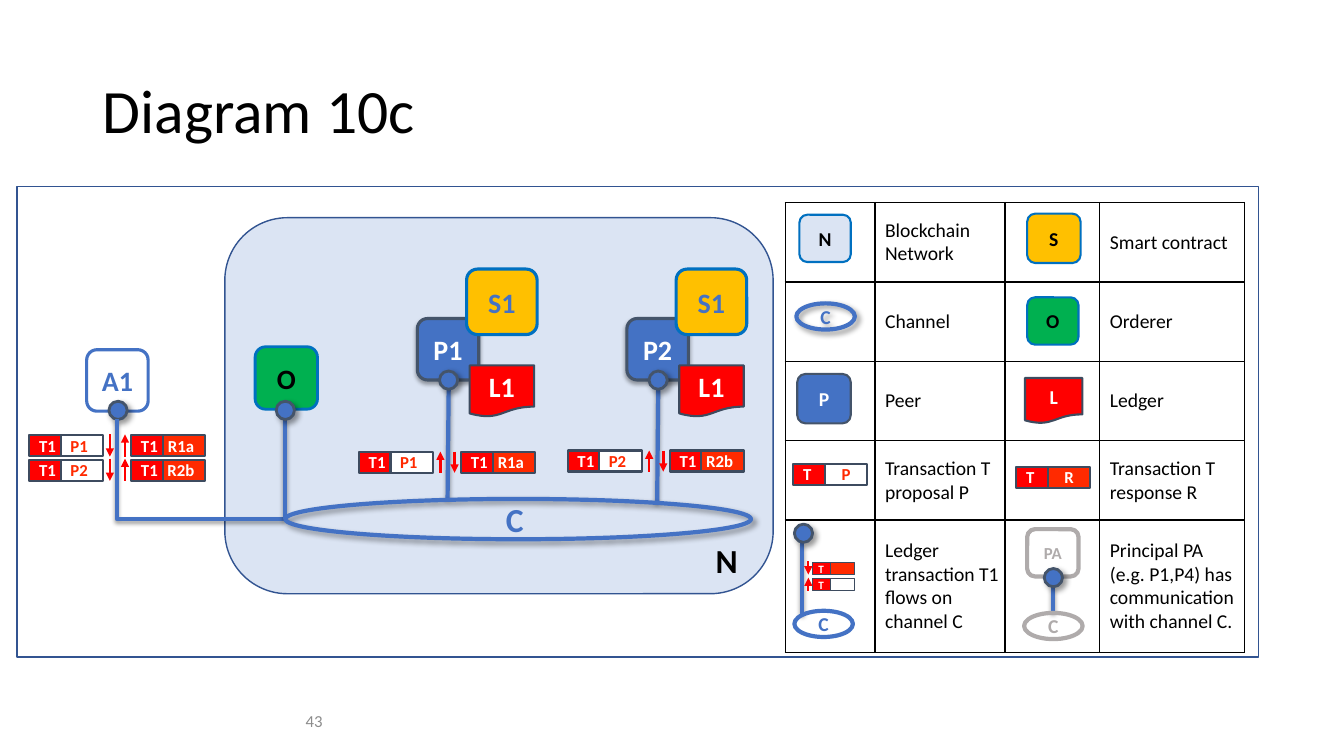
from lxml import etree
from pptx import Presentation
from pptx.dml.color import RGBColor
from pptx.enum.shapes import MSO_CONNECTOR as LINK, MSO_SHAPE as KIND
from pptx.enum.text import MSO_ANCHOR, PP_ALIGN
from pptx.oxml.ns import qn
from pptx.util import Pt

FONT = "Calibri"
HUE = {
    "black": "000000", "white": "FFFFFF", "gray": "8C8C8C", "pale": "DBE4F3",
    "navy": "325491", "blue": "4472C4", "slate": "44546A", "edge": "3D4B5F",
    "sky": "0070C0", "green": "00B050", "gold": "FFC000", "red": "FF0000",
    "flame": "FF2A00", "ash": "AFABAB",
}
HALO = (40, 4, 3, 45)
DROP = (38, 3.1, 1.6, 90)
SOFT = (35, 3.1, 1.8, 90)
LEGEND = [
    ("Blockchain Network", "Smart contract"),
    ("Channel", "Orderer"),
    ("Peer", "Ledger"),
    ("Transaction T proposal P", "Transaction T response R"),
    ("Ledger transaction T1 flows on channel C",
     "Principal PA (e.g. P1,P4) has communication with channel C."),
]


def rgb(name):
    """Look up a named colour."""
    return RGBColor.from_string(HUE[name])


def points(*values):
    """Turn numbers into point lengths."""
    return [Pt(v) for v in values]


def style(par, size, color, bold=False, align=PP_ALIGN.LEFT):
    """Format one paragraph."""
    par.alignment = align
    font = par.font
    font.name, font.size, font.bold = FONT, Pt(size), bold
    font.color.rgb = rgb(color)


def shade(item, cast=None):
    """Give an element a soft shadow, or none at all."""
    effect = etree.SubElement(item._element.spPr, qn("a:effectLst"))
    if cast:
        alpha, blur, gap, angle = cast
        outer = etree.SubElement(
            effect, qn("a:outerShdw"), blurRad=str(Pt(blur)), dist=str(Pt(gap)),
            dir=str(angle * 60000), algn="ctr", rotWithShape="0")
        tint = etree.SubElement(outer, qn("a:srgbClr"), val=HUE["black"])
        etree.SubElement(tint, qn("a:alpha"), val=str(alpha * 1000))


def block(slide, kind, box, fill, line, width, text="", size=14, color="black",
          cast=None, align=PP_ALIGN.CENTER, left=7.2):
    """Draw a shape with an optional bold label."""
    item = slide.shapes.add_shape(kind, *points(*box))
    if fill:
        item.fill.solid()
        item.fill.fore_color.rgb = rgb(fill)
    else:
        item.fill.background()
    item.line.color.rgb = rgb(line)
    item.line.width = Pt(width)
    shade(item, cast)
    if text:
        frame = item.text_frame
        frame.word_wrap = True
        frame.vertical_anchor = MSO_ANCHOR.MIDDLE
        frame.margin_left = Pt(left)
        frame.text = text
        style(frame.paragraphs[0], size, color, True, align)


def label(slide, box, text, size, color, bold=True, align=PP_ALIGN.LEFT, wrap=True):
    """Place free text."""
    frame = slide.shapes.add_textbox(*points(*box)).text_frame
    frame.word_wrap = wrap
    frame.vertical_anchor = MSO_ANCHOR.MIDDLE
    frame.text = text
    style(frame.paragraphs[0], size, color, bold, align)


def link(slide, ends, color="blue", width=3, cast=DROP, kind=LINK.STRAIGHT):
    """Draw a connector."""
    item = slide.shapes.add_connector(kind, *points(*ends))
    item.line.color.rgb = rgb(color)
    item.line.width = Pt(width)
    shade(item, cast)
    return item


def arrow(slide, x, tail, tip, width=1.75):
    """Draw a vertical red arrow."""
    item = link(slide, (x, tail, x, tip), "red", width, None)
    etree.SubElement(item._element.spPr.find(qn("a:ln")), qn("a:tailEnd"), type="triangle")


def elbow(slide, ends):
    """Draw a connector with one square bend."""
    item = link(slide, ends, kind=LINK.ELBOW)
    item._element.spPr.find(qn("a:prstGeom")).set("prst", "bentConnector2")


def dot(slide, x, y):
    """Draw a connection point."""
    block(slide, KIND.OVAL, (x, y, 13, 13), "blue", "slate", 2, cast=HALO)


def pair(slide, x, y, tag, word, left=2.9):
    """Draw a transaction tag beside its proposal or response."""
    fill, color = ("white", "flame") if word[0] == "P" else ("flame", "white")
    block(slide, KIND.RECTANGLE, (x, y, 29, 15), "red", "edge", 1.5, tag, 12,
          "white", align=PP_ALIGN.LEFT)
    block(slide, KIND.RECTANGLE, (x + 22.6, y, 30.3, 15), fill, "edge", 1.5,
          word, 12, color, left=left)


def border(cell):
    """Rule all four sides of a cell."""
    props = cell._tc.get_or_add_tcPr()
    for spot, side in enumerate(("lnL", "lnR", "lnT", "lnB")):
        rule = etree.Element(qn("a:" + side), w=str(Pt(1)))
        fill = etree.SubElement(rule, qn("a:solidFill"))
        etree.SubElement(fill, qn("a:srgbClr"), val=HUE["black"])
        props.insert(spot, rule)


def grid(slide):
    """Build the legend table."""
    table = slide.shapes.add_table(5, 4, *points(560.9, 144.7, 328, 321.4)).table
    table.first_row = table.horz_banding = False
    for col, width in zip(table.columns, (64.1, 92.9, 67.7, 103.3)):
        col.width = Pt(width)
    for row, height in zip(table.rows, [56.7] * 4 + [94.6]):
        row.height = Pt(height)
    for cell in table.iter_cells():
        cell.fill.background()
        cell.vertical_anchor = MSO_ANCHOR.MIDDLE
        cell.margin_right = Pt(4)
        border(cell)
    for r, words in enumerate(LEGEND):
        for c, text in zip((1, 3), words):
            cell = table.cell(r, c)
            cell.text = text
            style(cell.text_frame.paragraphs[0], 14, "black")


def icons(slide):
    """Fill the legend with its symbols."""
    tile, oval, bar = KIND.ROUNDED_RECTANGLE, KIND.OVAL, KIND.RECTANGLE
    block(slide, tile, (571, 153.4, 36.7, 33.8), "pale", "sky", 1.5, "N")
    block(slide, tile, (733.7, 152.6, 38.2, 35.3), "gold", "sky", 1.5, "S")
    block(slide, oval, (568.8, 216.7, 41.8, 18.7), None, "blue", 3, "C", 14, "blue", HALO)
    block(slide, tile, (733.7, 212.4, 36.7, 33.8), "green", "sky", 1.5, "O")
    block(slide, tile, (569.5, 267.1, 38.2, 35.3), "blue", "slate", 1.5, "P", 14, "white")
    block(slide, KIND.FLOWCHART_DOCUMENT, (732.2, 270, 41, 32.4), "red", "edge", 1.5,
          "L", 14, "white")
    pair(slide, 566.6, 331.2, "T", "P", 7.2)
    pair(slide, 725.8, 333.4, "T", "R", 7.2)
    link(slide, (573.1, 387.4, 573.1, 439.2))
    dot(slide, 567.4, 374.4)
    block(slide, oval, (567.4, 436.3, 41.8, 18.7), None, "blue", 3, "C", 14, "blue")
    for y, fill in ((401.8, "flame"), (413.3, "white")):
        block(slide, bar, (580.3, y, 13, 8.6), "red", "edge", 1, "T", 8, "white",
              align=PP_ALIGN.LEFT, left=4.3)
        block(slide, bar, (593.3, y, 17.3, 8.6), fill, "edge", 1)
    arrow(slide, 577.4, 421.9, 412.6, 1.25)
    arrow(slide, 577.4, 401, 410.4, 1.25)
    block(slide, tile, (733.7, 378, 36.7, 33.8), None, "ash", 3, "PA", 12, "ash")
    link(slide, (752.4, 419, 752.4, 437.8))
    dot(slide, 745.9, 406.1)
    block(slide, oval, (731.5, 437.8, 41.8, 18.7), None, "ash", 3, "C", 14, "ash")


def peer(slide, x, name, foot):
    """Draw a peer with its ledger, contract and channel link."""
    block(slide, KIND.ROUNDED_RECTANGLE, (x, 227.5, 43.9, 43.9), "blue", "slate", 2.25,
          name, 20, "white", SOFT)
    link(slide, (x + 22.4, 277.5, x + 21.6, foot))
    block(slide, KIND.FLOWCHART_DOCUMENT, (x + 37.4, 261, 46.1, 36.7), "red", "edge", 1.5,
          "L1", 20, "white")
    block(slide, KIND.ROUNDED_RECTANGLE, (x + 35.2, 192.2, 50.4, 46.8), "gold", "sky", 2.25,
          "S1", 20, "blue")
    dot(slide, x + 15.8, 265)


def flows(slide):
    """Draw the transaction traffic of the application and peers."""
    for y, ask, reply in ((311, "P1", "R1a"), (328.3, "P2", "R2b")):
        pair(slide, 20.9, y, "T1", ask)
        pair(slide, 93.6, y, "T1", reply)
        arrow(slide, 78.5, y - 0.7, y + 15.2)
        arrow(slide, 89.3, y + 15.2, y - 0.7)
    for x, y, ask, reply in ((256.3, 322.6, "P1", "R1a"), (405.4, 321.8, "P2", "R2b")):
        pair(slide, x, y, "T1", ask)
        pair(slide, x + 73, y, "T1", reply)
        arrow(slide, x + 58.3, y + 15.1, y)
        arrow(slide, x + 68.4, y, y + 15.1)


def main():
    """Assemble and save the slide."""
    deck = Presentation()
    deck.slide_width, deck.slide_height = points(960, 540)
    slide = deck.slides.add_slide(deck.slide_layouts[5])
    tile = KIND.ROUNDED_RECTANGLE
    head = slide.shapes.title
    head.left, head.top, head.width, head.height = points(66.2, 28.8, 828, 104.4)
    head.text_frame.text = "Diagram 10c"
    head.text_frame.vertical_anchor = MSO_ANCHOR.MIDDLE
    head.text_frame.paragraphs[0].line_spacing = 0.9
    style(head.text_frame.paragraphs[0], 44, "black")
    block(slide, tile, (160.6, 155.5, 391.7, 268.6), "pale", "navy", 1)
    label(slide, (21.6, 500.4, 216, 28.8), "43", 12, "gray", False, PP_ALIGN.RIGHT)
    grid(slide)
    icons(slide)
    label(slide, (504, 382.3, 41.8, 36), "N", 24, "black")
    block(slide, tile, (61.9, 249.8, 43.9, 43.9), None, "blue", 2.25, "A1", 20, "blue")
    dot(slide, 77.8, 286.6)
    elbow(slide, (203.8, 370.8, 83.5, 299.5))
    peer(slide, 447.8, "P2", 359.3)
    peer(slide, 298.1, "P1", 356.4)
    label(slide, (354.2, 352.8, 27.4, 36), "C", 24, "blue", wrap=False)
    block(slide, tile, (182.2, 247.7, 44.6, 44.6), "green", "sky", 2, "O", 20)
    link(slide, (203.8, 299.5, 203.8, 370.8))
    block(slide, KIND.OVAL, (203.8, 356.4, 332.6, 28.8), None, "blue", 3, cast=HALO)
    dot(slide, 197.3, 286.6)
    block(slide, KIND.RECTANGLE, (12.2, 133.2, 887, 336.2), None, "navy", 1)
    flows(slide)
    deck.save("out.pptx")


if __name__ == "__main__":
    main()
